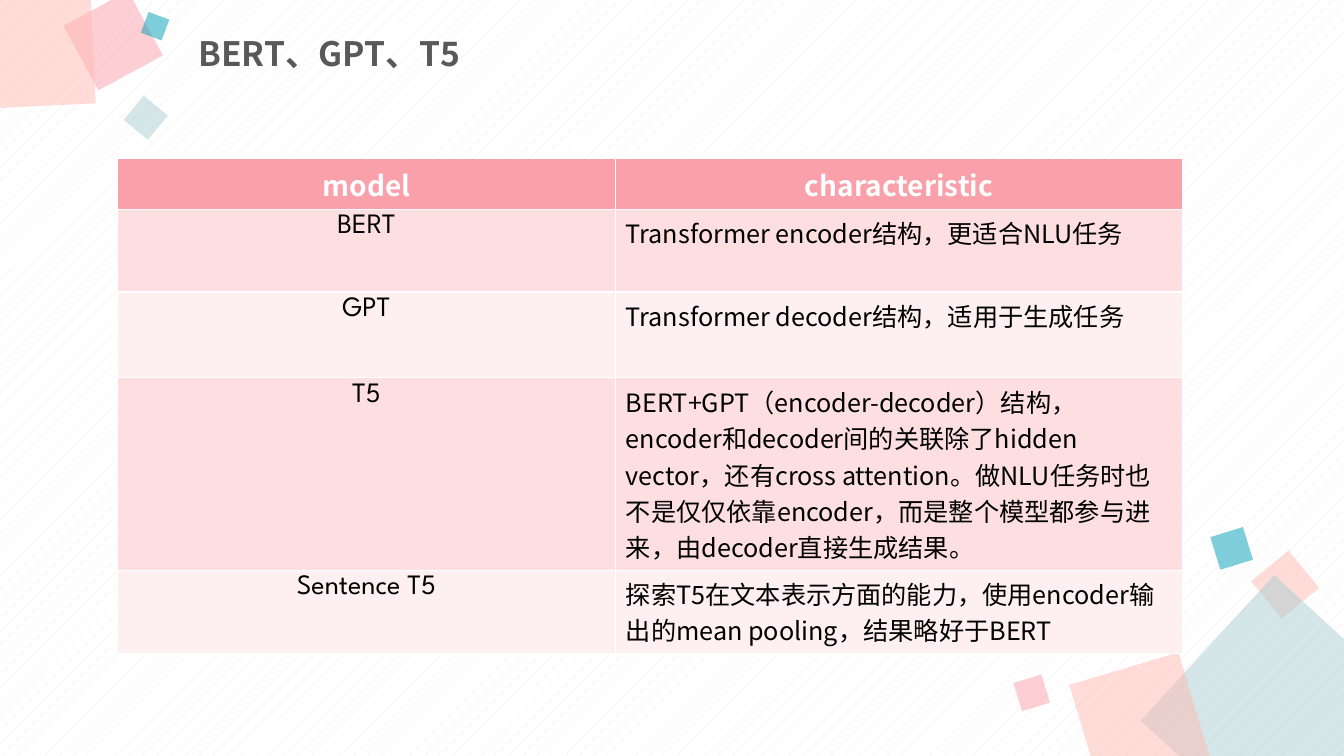
from lxml import etree
from pptx import Presentation
from pptx.dml.color import RGBColor
from pptx.enum.dml import MSO_PATTERN
from pptx.enum.shapes import MSO_SHAPE
from pptx.enum.text import MSO_ANCHOR, PP_ALIGN
from pptx.oxml.ns import qn
from pptx.util import Cm, Pt

RECTANGLE = MSO_SHAPE.RECTANGLE
DOTS = MSO_PATTERN.PERCENT_5
MIDDLE = MSO_ANCHOR.MIDDLE
LEFT, CENTER = PP_ALIGN.LEFT, PP_ALIGN.CENTER

COLORS = {
    "peach": "FFBBB3", "sage": "AACED2", "pink": "FAA0AA", "teal": "009FB8",
    "band_dark": "FDDFE2", "band_light": "FEF0F1", "white": "FFFFFF",
    "black": "000000", "title": "595959", "dots": "F5E5E4",
}
SANS, SPARTAN = "Noto Sans CJK SC", "League Spartan"

TITLE = "BERT、GPT、T5"
HEADER = ("model", "characteristic")
MODELS = [
    ("BERT", "Transformer encoder结构，更适合NLU任务"),
    ("GPT", "Transformer decoder结构，适用于生成任务"),
    ("T5", "BERT+GPT（encoder-decoder）结构，encoder和decoder间的关联除了hidden vector，"
           "还有cross attention。做NLU任务时也不是仅仅依靠encoder，"
           "而是整个模型都参与进来，由decoder直接生成结果。"),
    ("Sentence T5", "探索T5在文本表示方面的能力，使用encoder输出的mean pooling，结果略好于BERT"),
]
COLUMN_WIDTHS = (12.57, 14.27)
ROW_HEIGHTS = (1.27, 2.09, 2.16, 4.85, 2.09)

# left, top, side in cm, rotation in degrees, colour
SQUARES = [
    (31.78, 14.12, 1.22, 320.6, "peach"),
    (29.77, 15.52, 4.98, 42.6, "sage"),
    (27.3, 16.79, 2.87, 343.4, "peach"),
    (25.63, 17.09, 0.74, 342.8, "pink"),
    (30.61, 13.39, 0.86, 342.8, "teal"),
    (1.93, 0.1, 1.85, 331.6, "pink"),
    (-1.17, -0.81, 3.5, 357.2, "peach"),
    (3.28, 2.57, 0.79, 309.8, "sage"),
    (3.63, 0.38, 0.56, 290.5, "teal"),
]


def rgb(name):
    return RGBColor.from_string(COLORS[name])


def add_run(paragraph, text, size, font_name, color, bold=False):
    run = paragraph.add_run()
    run.text = text
    font = run.font
    font.size, font.bold, font.name = Pt(size), bold, font_name
    font.color.rgb = rgb(color)
    east_asian = etree.Element(qn("a:ea"), typeface=font_name)
    run._r.rPr.find(qn("a:latin")).addnext(east_asian)


def add_square(slide, left, top, side, rotation, color):
    """Add a half-transparent rotated square."""
    shape = slide.shapes.add_shape(RECTANGLE, Cm(left), Cm(top), Cm(side), Cm(side))
    shape.shadow.inherit = False
    shape.rotation = rotation
    shape.line.fill.background()
    shape.fill.solid()
    shape.fill.fore_color.rgb = rgb(color)
    color_element = shape._element.spPr.find(".//" + qn("a:srgbClr"))
    etree.SubElement(color_element, qn("a:alpha"), val="50000")


def add_title(slide):
    box = slide.shapes.add_textbox(Cm(4.75), Cm(0.66), Cm(24.79), Cm(1.47))
    frame = box.text_frame
    frame.word_wrap = True
    frame.vertical_anchor = MIDDLE
    paragraph = frame.paragraphs[0]
    paragraph.line_spacing = 0.9
    add_run(paragraph, TITLE, 24, SANS, "title", bold=True)


def style_cell(cell, fill):
    """Give the cell thin white borders and a plain fill."""
    properties = cell._tc.get_or_add_tcPr()
    for side in "LRTB":
        line = etree.SubElement(properties, qn("a:ln" + side), w=str(Pt(1)))
        solid = etree.SubElement(line, qn("a:solidFill"))
        etree.SubElement(solid, qn("a:srgbClr"), val=COLORS["white"])
    cell.fill.solid()
    cell.fill.fore_color.rgb = rgb(fill)


def add_model_table(slide):
    frame = slide.shapes.add_table(
        len(ROW_HEIGHTS), len(COLUMN_WIDTHS), Cm(2.95), Cm(4),
        Cm(sum(COLUMN_WIDTHS)), Cm(sum(ROW_HEIGHTS)))
    table = frame.table
    for column, width in zip(table.columns, COLUMN_WIDTHS):
        column.width = Cm(width)
    for row, height in zip(table.rows, ROW_HEIGHTS):
        row.height = Cm(height)

    for column_index, text in enumerate(HEADER):
        cell = table.cell(0, column_index)
        style_cell(cell, "pink")
        paragraph = cell.text_frame.paragraphs[0]
        paragraph.alignment = CENTER
        add_run(paragraph, text, 20, SANS, "white", bold=True)

    body_styles = ((20, SPARTAN, CENTER), (18, SANS, LEFT))
    for row_index, texts in enumerate(MODELS, start=1):
        fill = "band_dark" if row_index % 2 else "band_light"
        for column_index, (text, style) in enumerate(zip(texts, body_styles)):
            size, font_name, alignment = style
            cell = table.cell(row_index, column_index)
            style_cell(cell, fill)
            paragraph = cell.text_frame.paragraphs[0]
            paragraph.alignment = alignment
            add_run(paragraph, text, size, font_name, "black")


def main():
    presentation = Presentation()
    presentation.slide_width, presentation.slide_height = Cm(33.87), Cm(19.05)
    slide = presentation.slides.add_slide(presentation.slide_layouts[6])
    background = slide.background.fill
    background.patterned()
    background.pattern = DOTS
    background.fore_color.rgb = rgb("dots")
    background.back_color.rgb = rgb("white")
    for square in SQUARES:
        add_square(slide, *square)
    add_title(slide)
    add_model_table(slide)
    presentation.save("out.pptx")


if __name__ == "__main__":
    main()
